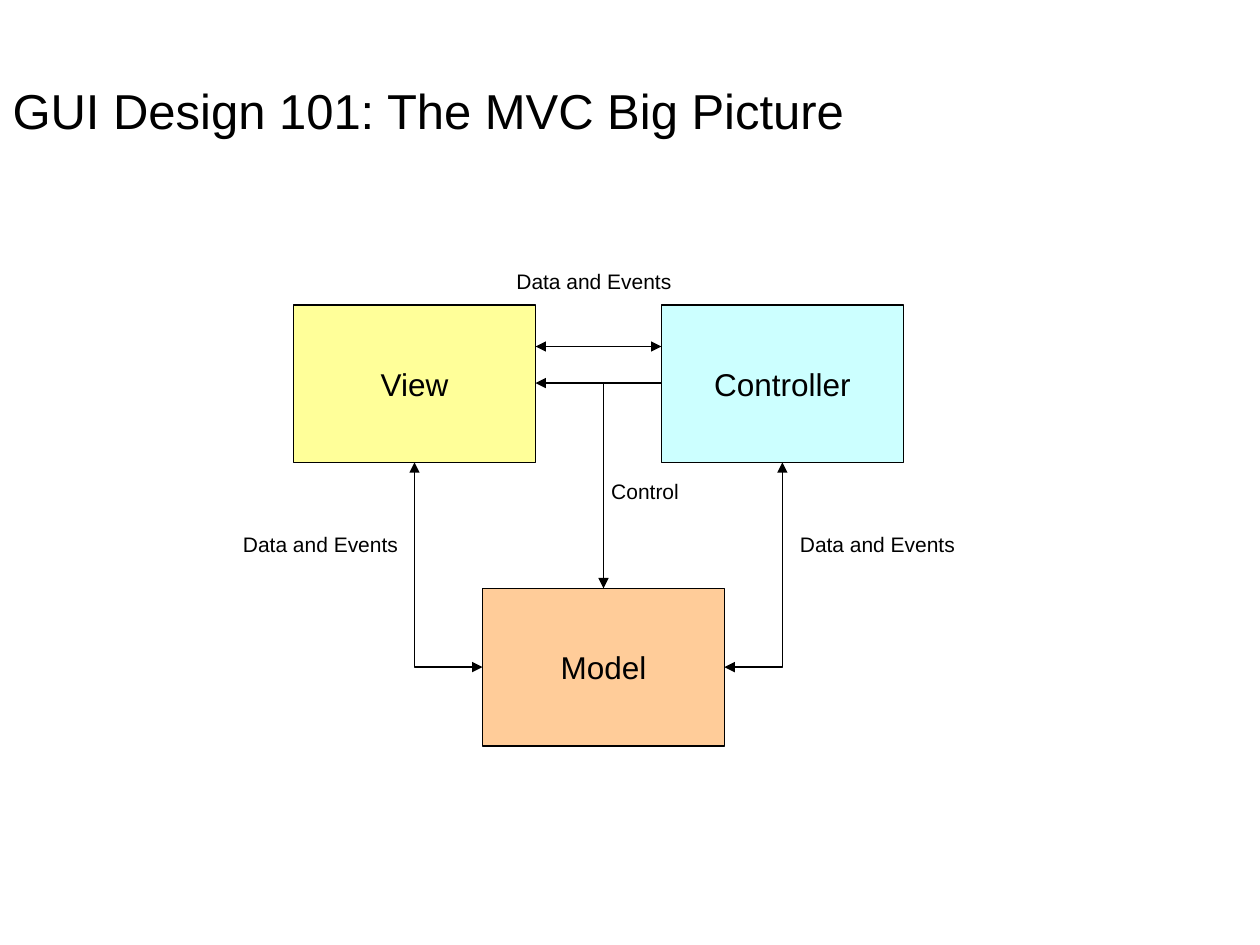
from lxml import etree
from pptx import Presentation
from pptx import util as u
from pptx.dml.color import RGBColor
from pptx.enum import shapes, text
from pptx.oxml.ns import qn

BLACK = "000000"
BOX_WIDTH, BOX_HEIGHT = 1.92, 1.25


def color(value):
    """Turn a hex string into a colour."""
    return RGBColor.from_string(value)


def write(shape, words, size, align, anchor, wrap=False):
    """Put one formatted run into a shape."""
    frame = shape.text_frame
    frame.word_wrap = wrap
    frame.auto_size = text.MSO_AUTO_SIZE.NONE
    frame.vertical_anchor = anchor
    para = frame.paragraphs[0]
    para.alignment = align
    span = para.add_run()
    span.text = words
    span.font.name = "Arial"
    span.font.size = u.Pt(size)
    span.font.color.rgb = color(BLACK)


def add_title(page, left, top, width, height):
    """Place and fill the title placeholder."""
    title = page.shapes.title
    title.left, title.top = u.Inches(left), u.Inches(top)
    title.width, title.height = u.Inches(width), u.Inches(height)
    write(title, "GUI Design 101: The MVC Big Picture", 28,
          text.PP_ALIGN.LEFT, text.MSO_ANCHOR.MIDDLE, wrap=True)


def add_component(page, words, fill, left, top):
    """Draw one outlined box of the pattern."""
    box = page.shapes.add_shape(
        shapes.MSO_SHAPE.RECTANGLE, u.Inches(left), u.Inches(top),
        u.Inches(BOX_WIDTH), u.Inches(BOX_HEIGHT))
    box.shadow.inherit = False
    box.fill.solid()
    box.fill.fore_color.rgb = color(fill)
    box.line.color.rgb = color(BLACK)
    box.line.width = u.Pt(0.75)
    write(box, words, 18, text.PP_ALIGN.CENTER, text.MSO_ANCHOR.MIDDLE)


def add_arrow(page, start, end, both=True):
    """Draw an arrow, turning one corner when its ends are not level."""
    bent = start[1] != end[1]
    kind = shapes.MSO_CONNECTOR.ELBOW if bent else shapes.MSO_CONNECTOR.STRAIGHT
    arrow = page.shapes.add_connector(
        kind, *(u.Inches(length) for length in start + end))
    arrow.line.color.rgb = color(BLACK)
    arrow.line.width = u.Pt(0.75)
    properties = arrow._element.spPr
    if bent:
        properties.find(qn("a:prstGeom")).set("prst", "bentConnector2")
    line = arrow.line._get_or_add_ln()
    for tag in ("a:headEnd", "a:tailEnd") if both else ("a:tailEnd",):
        etree.SubElement(line, qn(tag)).set("type", "triangle")
    etree.SubElement(properties, qn("a:effectLst"))


def add_label(page, words, left, top, width):
    """Add a small caption for an arrow."""
    label = page.shapes.add_textbox(
        u.Inches(left), u.Inches(top), u.Inches(width), u.Inches(0.3))
    write(label, words, 12, text.PP_ALIGN.CENTER, text.MSO_ANCHOR.TOP)


def add_diagram(page, left, top):
    """Draw the three components with their arrows and labels."""
    controller_left = left + 2.92
    model_left, model_top = left + 1.5, top + 2.25
    view_right = left + BOX_WIDTH
    model_right = model_left + BOX_WIDTH
    upper_bottom = top + BOX_HEIGHT
    model_middle = model_top + BOX_HEIGHT / 2
    half = BOX_WIDTH / 2
    control_y = top + 0.62

    add_component(page, "Model", "FFCC99", model_left, model_top)
    add_component(page, "Controller", "CCFFFF", controller_left, top)
    add_component(page, "View", "FFFF99", left, top)

    add_arrow(page, (view_right, top + 0.33), (controller_left, top + 0.33))
    add_arrow(page, (controller_left, control_y), (view_right, control_y), both=False)
    add_arrow(page, (model_left, model_middle), (left + half, upper_bottom))
    add_arrow(page, (model_right, model_middle), (controller_left + half, upper_bottom))
    add_arrow(page, (controller_left, control_y), (model_left + half, model_top), both=False)

    for x, y in ((-0.5, 1.75), (3.92, 1.75), (1.67, -0.34)):
        add_label(page, "Data and Events", left + x, top + y, 1.43)
    add_label(page, "Control", left + 2.42, top + 1.33, 0.74)


def main():
    """Build and save the slide."""
    deck = Presentation()
    deck.slide_width, deck.slide_height = u.Inches(10), u.Inches(7.5)
    page = deck.slides.add_slide(deck.slide_layouts[5])
    add_title(page, 0, 0.25, 9, 1.25)
    add_diagram(page, 2.33, 2.42)
    deck.save("out.pptx")


if __name__ == "__main__":
    main()
